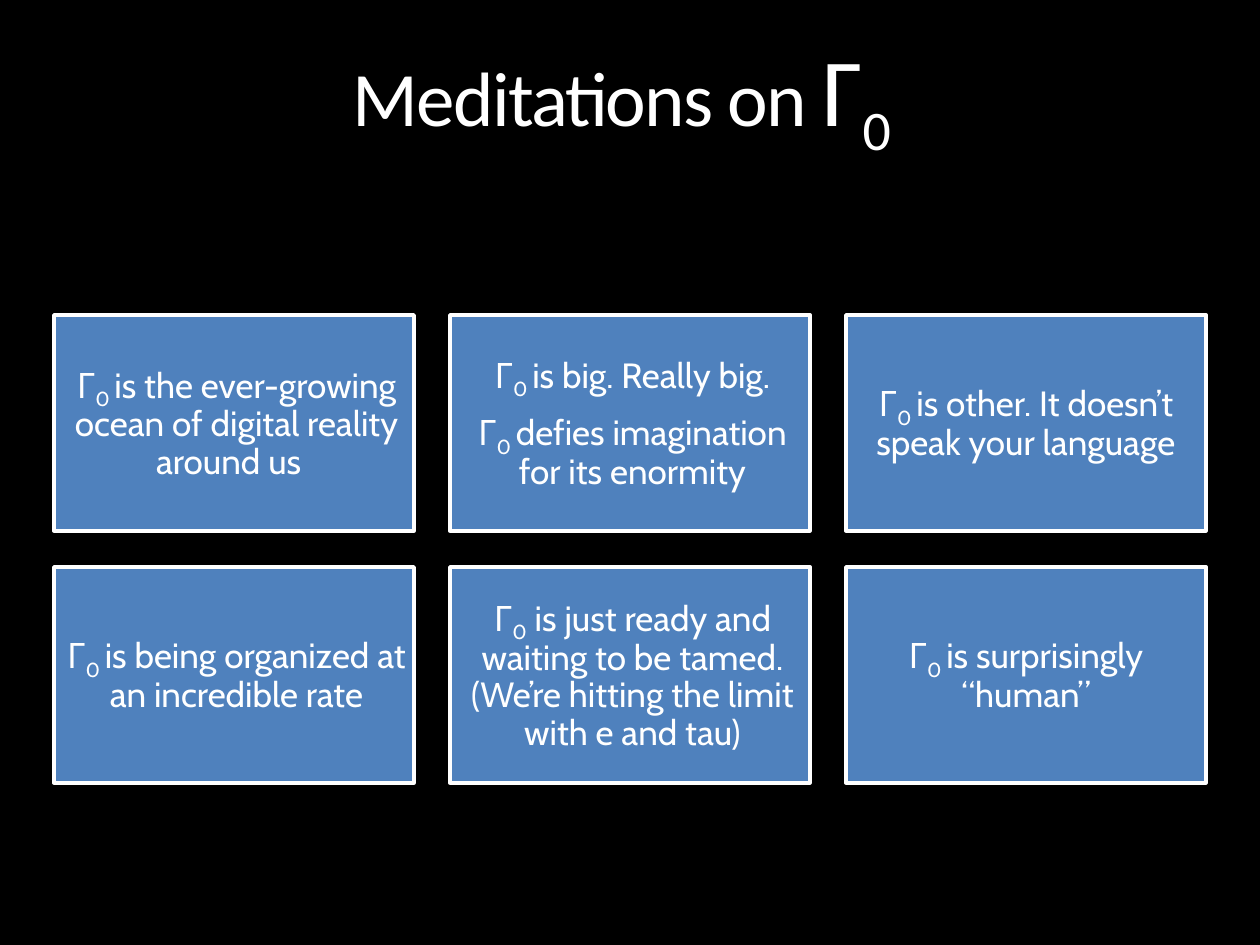
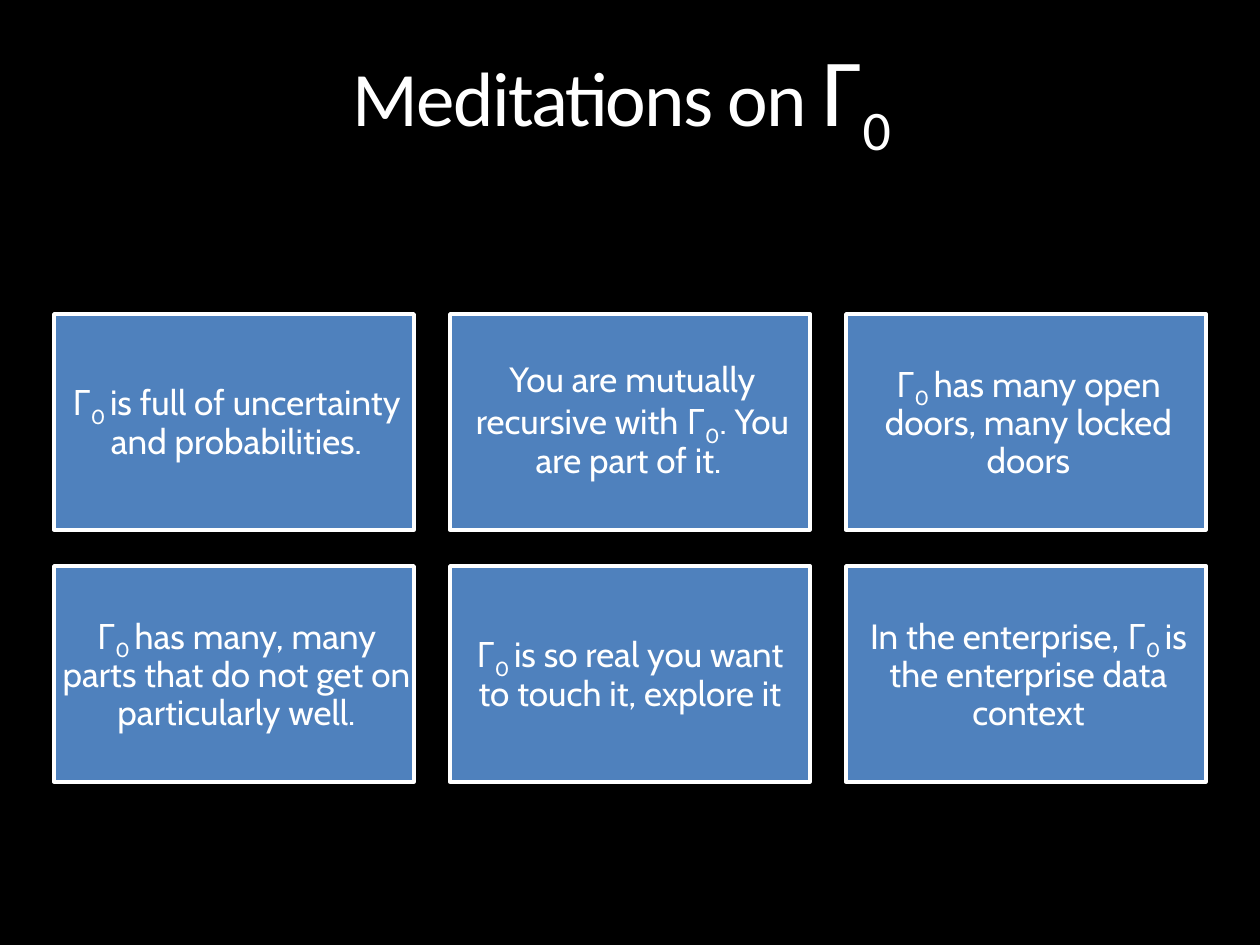
from dataclasses import dataclass

from pptx import Presentation
from pptx.dml.color import RGBColor
from pptx.enum.shapes import MSO_SHAPE
from pptx.enum.text import MSO_ANCHOR, PP_ALIGN
from pptx.slide import Slide
from pptx.text.text import TextFrame, _Paragraph, _Run
from pptx.util import Emu, Pt

# Shared look; lengths are px, 126 to the inch
PX_PER_INCH = 126
BACKGROUND, CARD_BLUE, WHITE = "000000", "4F81BD", "FFFFFF"
TITLE_FONT, CARD_FONT = "Calibri", "Cabin"
TITLE_BOX = (54, 32, 1153, 105)
CARD_LEFT, CARD_WIDTH, CARD_HEIGHT, CARD_GAP = 54, 360, 216, 36
COLUMNS = 3
NARROW_INSETS = (5, 10, 0, 10)
WIDE_INSETS = (10, 10, 10, 10)


@dataclass(frozen=True)
class Card:
    """Paragraphs of one card; text between underscores is subscript."""
    paragraphs: tuple[str, ...]
    insets: tuple[int, int, int, int] = NARROW_INSETS


@dataclass(frozen=True)
class Meditation:
    """One slide: the top of its card grid and the cards, row by row."""
    grid_top: int
    cards: tuple[Card, ...]


MEDITATIONS = (
    Meditation(315, (
        Card(("Γ_0 _is the ever-growing ocean of digital reality around us  ",)),
        Card(("Γ_0 _is big. Really big.",
              "Γ_0 _defies imagination for its enormity")),
        Card(("Γ_0 _is other. It doesn’t speak your language",), WIDE_INSETS),
        Card(("Γ_0 _is being organized at an incredible rate",)),
        Card(("Γ_0_ is just ready and waiting to be tamed. "
              "(We’re hitting the limit with e and tau)",)),
        Card(("Γ_0 _is surprisingly “human”",), WIDE_INSETS),
    )),
    Meditation(314, (
        Card(("Γ_0 _is full of uncertainty and probabilities.",)),
        Card(("You are mutually recursive with Γ_0_. You are part of it. ",)),
        Card(("Γ_0 _has many open doors, many locked doors",)),
        Card(("Γ_0 _has many, many parts that do not get on particularly well.",)),
        Card(("Γ_0 _is so real you want to touch it, explore it",), WIDE_INSETS),
        Card(("In the enterprise, Γ_0 _is the enterprise data context",)),
    )),
)


def px(length: int) -> Emu:
    return Emu(round(length * 914400 / PX_PER_INCH))


def color(hex_value: str) -> RGBColor:
    return RGBColor.from_string(hex_value)


def set_insets(frame: TextFrame, insets: tuple[int, int, int, int]) -> None:
    frame.word_wrap = True
    (frame.margin_left, frame.margin_top,
     frame.margin_right, frame.margin_bottom) = map(px, insets)


def style_paragraph(paragraph: _Paragraph, font_name: str, size: int) -> None:
    paragraph.alignment = PP_ALIGN.CENTER
    paragraph.line_spacing = 0.9
    paragraph.font.name = font_name
    paragraph.font.size = Pt(size)
    paragraph.font.color.rgb = color(WHITE)


def add_runs(paragraph: _Paragraph, marked_text: str) -> list[_Run]:
    runs = []
    for index, part in enumerate(marked_text.split("_")):
        run = paragraph.add_run()
        run.text = part
        if index % 2:
            run._r.get_or_add_rPr().set("baseline", "-25000")
        runs.append(run)
    return runs


def add_title(slide: Slide) -> None:
    frame = slide.shapes.add_textbox(*map(px, TITLE_BOX)).text_frame
    set_insets(frame, (0, 0, 0, 0))
    heading = frame.paragraphs[0]
    style_paragraph(heading, TITLE_FONT, 44)
    words = add_runs(heading, "Meditations on ")
    gamma, zero, tail = add_runs(heading, "Γ_0_ ")
    for symbol in (gamma, zero):
        symbol.font.size = Pt(55)
    for run in (*words, gamma, zero, tail):
        run._r.get_or_add_rPr().set("spc", "-100")


def add_card(slide: Slide, card: Card, left: int, top: int) -> None:
    box = slide.shapes.add_shape(
        MSO_SHAPE.RECTANGLE, px(left), px(top), px(CARD_WIDTH), px(CARD_HEIGHT))
    box.shadow.inherit = False
    box.fill.solid()
    box.fill.fore_color.rgb = color(CARD_BLUE)
    box.line.color.rgb = color(WHITE)
    box.line.width = Pt(2)
    frame = box.text_frame
    frame.vertical_anchor = MSO_ANCHOR.MIDDLE
    set_insets(frame, card.insets)
    for index, marked_text in enumerate(card.paragraphs):
        paragraph = frame.add_paragraph() if index else frame.paragraphs[0]
        style_paragraph(paragraph, CARD_FONT, 20)
        paragraph.space_after = Pt(8.4)
        add_runs(paragraph, marked_text)


def main() -> None:
    deck = Presentation()
    deck.slide_width, deck.slide_height = px(1260), px(945)
    for meditation in MEDITATIONS:
        slide = deck.slides.add_slide(deck.slide_layouts[6])
        slide.background.fill.solid()
        slide.background.fill.fore_color.rgb = color(BACKGROUND)
        add_title(slide)
        # Card grid
        for index, card in enumerate(meditation.cards):
            row, column = divmod(index, COLUMNS)
            add_card(slide, card,
                     CARD_LEFT + column * (CARD_WIDTH + CARD_GAP),
                     meditation.grid_top + row * (CARD_HEIGHT + CARD_GAP))
    deck.save("out.pptx")


if __name__ == "__main__":
    main()
